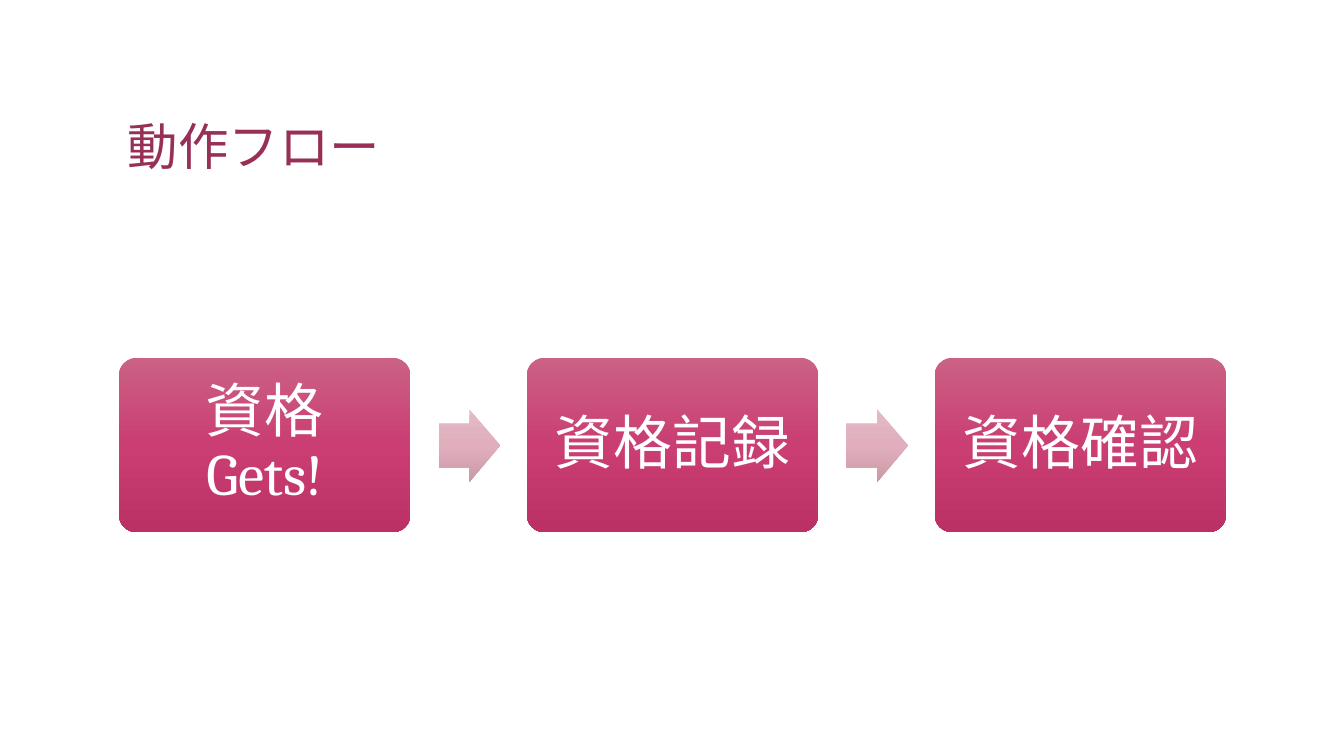
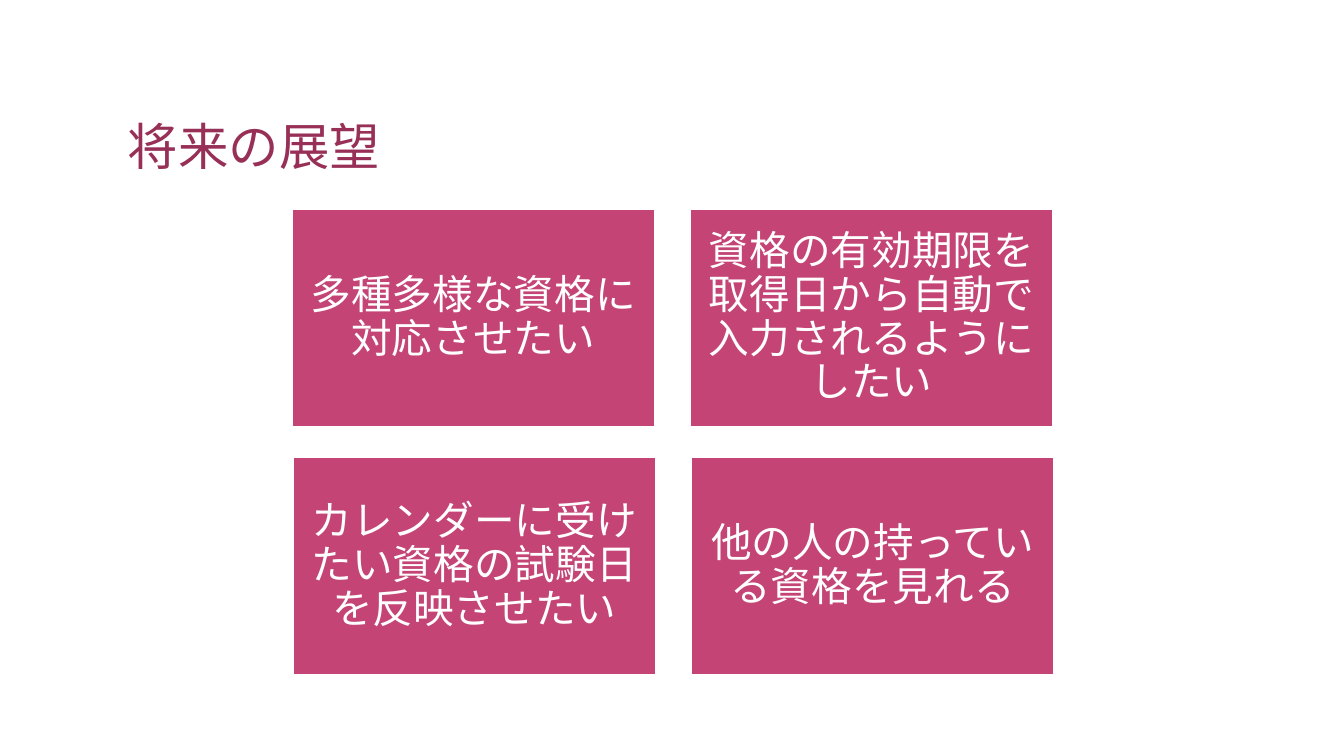
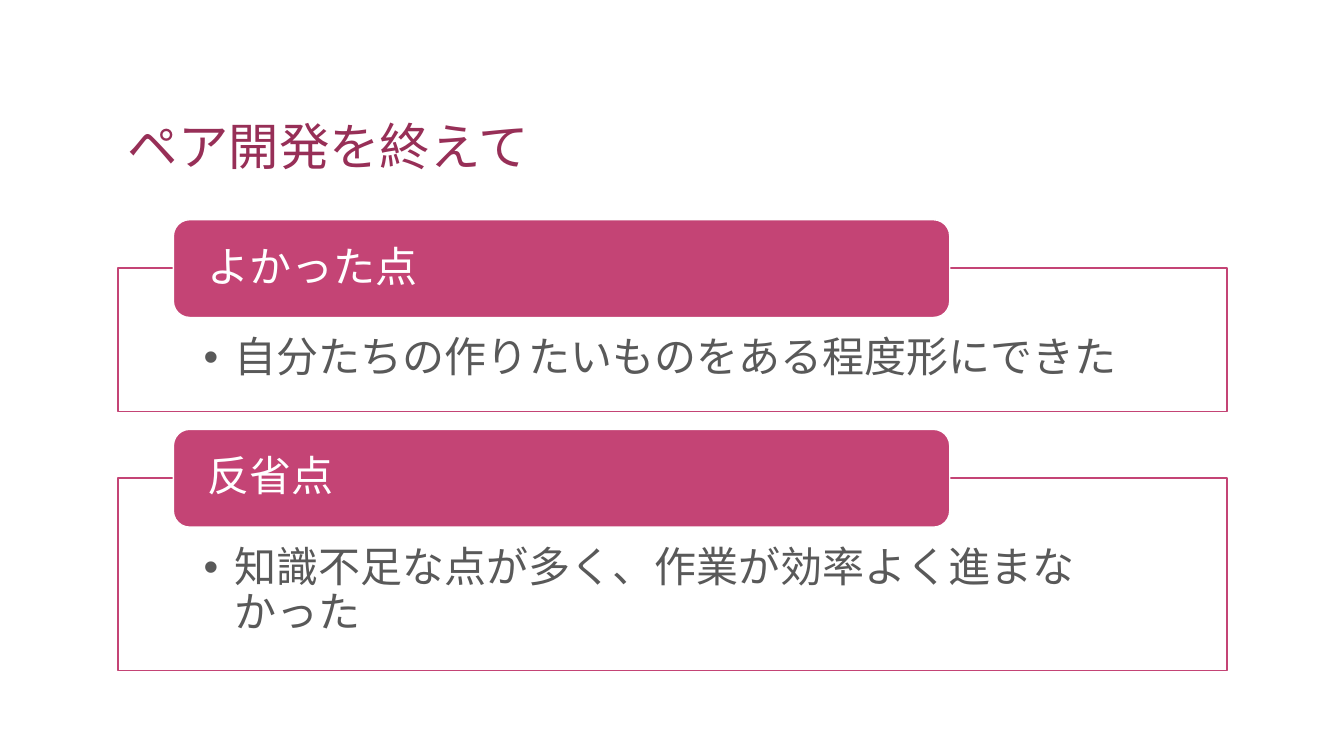
"""Build three slides on a certificate app: its flow, its outlook and a review."""
from lxml import etree
from pptx import Presentation
from pptx import util as u
from pptx.dml.color import RGBColor
from pptx.enum import shapes, text
from pptx.oxml.ns import qn

COLORS = {
    "title": "972F57",
    "accent": "C44475",
    "white": "FFFFFF",
    "body": "595959",
}
STEP_GRADIENT = ["CB6185", "CA3E73", "BB3065"]
ARROW_GRADIENT = ["E3BBC6", "E0AEBC", "CB98A5"]
LATIN_FONT = "Cambria"
JAPANESE_FONT = "Noto Sans CJK JP"
CENTER = text.PP_ALIGN.CENTER
LEFT = text.PP_ALIGN.LEFT
MIDDLE = text.MSO_ANCHOR.MIDDLE
TOP = text.MSO_ANCHOR.TOP
BOTTOM = text.MSO_ANCHOR.BOTTOM


def rgb(name):
    """Return a named colour."""
    return RGBColor.from_string(COLORS[name])


def write(shape, words, size, color, insets, anchor=MIDDLE, align=LEFT,
          latin=LATIN_FONT, bullet_indent=0):
    """Write one formatted paragraph into a shape."""
    frame = shape.text_frame
    frame.word_wrap = True
    frame.vertical_anchor = anchor
    frame.margin_left, frame.margin_top, frame.margin_right, frame.margin_bottom = [
        u.Inches(inset) for inset in insets]
    para = frame.paragraphs[0]
    para.text = words
    para.alignment = align
    para.line_spacing = 0.9
    if bullet_indent:
        properties = para._p.get_or_add_pPr()
        properties.set("marL", str(u.Inches(bullet_indent)))
        properties.set("indent", str(-u.Inches(bullet_indent)))
        etree.SubElement(properties, qn("a:buFont"), typeface="Arial")
        etree.SubElement(properties, qn("a:buChar"), char="•")
    for span in para.runs:
        span.font.size = u.Pt(size)
        span.font.color.rgb = rgb(color)
        span.font.name = latin
        east_asian = etree.Element(qn("a:ea"), typeface=JAPANESE_FONT)
        span.font._element.find(qn("a:latin")).addnext(east_asian)


def add_block(page, kind, left, top, width, height, fill=None, line=None):
    """Add a shape without shadow, with an optional fill and outline."""
    shape = page.shapes.add_shape(
        kind, u.Inches(left), u.Inches(top), u.Inches(width), u.Inches(height))
    shape.shadow.inherit = False
    if fill:
        shape.fill.solid()
        shape.fill.fore_color.rgb = rgb(fill)
    if line:
        shape.line.color.rgb = rgb(line)
        shape.line.width = u.Pt(1)
    else:
        shape.line.fill.background()
    return shape


def set_gradient(shape, stops):
    """Fill a shape with an evenly spaced gradient from top to bottom."""
    shape.fill.gradient()
    gradient = shape._element.spPr.find(qn("a:gradFill"))
    for child in list(gradient):
        gradient.remove(child)
    stop_list = etree.SubElement(gradient, qn("a:gsLst"))
    for index, color in enumerate(stops):
        position = index * 100000 // (len(stops) - 1)
        stop = etree.SubElement(stop_list, qn("a:gs"), pos=str(position))
        etree.SubElement(stop, qn("a:srgbClr"), val=color)
    etree.SubElement(gradient, qn("a:lin"), ang="5400000", scaled="0")


def add_page(deck, title):
    """Add a blank page with the shared title."""
    page = deck.slides.add_slide(deck.slide_layouts[6])
    box = page.shapes.add_textbox(
        u.Inches(1.17), u.Inches(0.5), u.Inches(11), u.Inches(1.3))
    write(box, title, 36, "title", (0.1, 0.05, 0.1, 0.05), BOTTOM, latin=JAPANESE_FONT)
    return page


def add_flow(page, steps):
    """Add a row of steps joined by block arrows."""
    for index, words in enumerate(steps):
        left = 1.18 + index * 4.045
        step = add_block(page, shapes.MSO_SHAPE.ROUNDED_RECTANGLE, left, 3.55, 2.89, 1.73)
        step.adjustments[0] = 0.1
        set_gradient(step, STEP_GRADIENT)
        write(step, words, 42, "white", [0.17] * 4, align=CENTER)
        if index < len(steps) - 1:
            arrow = add_block(page, shapes.MSO_SHAPE.RIGHT_ARROW,
                              left + 3.17, 4.06, 0.61, 0.72)
            arrow.adjustments[0] = 0.6
            set_gradient(arrow, ARROW_GRADIENT)


def add_grid(page, rows):
    """Add rows of equal filled cards."""
    for row, cards in enumerate(rows):
        for column, words in enumerate(cards):
            card = add_block(page, shapes.MSO_SHAPE.RECTANGLE,
                             2.9 + 0.01 * row + 3.95 * column, 2.08 + 2.46 * row,
                             3.59, 2.15, "accent", "white")
            write(card, words, 29, "white", [0.12] * 4, align=CENTER)


def add_section(page, top, height, heading, point):
    """Add an outlined panel with a heading tab on its top edge."""
    panel = add_block(page, shapes.MSO_SHAPE.RECTANGLE, 1.17, top, 11, height,
                      "white", "accent")
    write(panel, point, 30, "body", (0.85, 0.68, 0.85, 0.23), TOP, bullet_indent=0.31)
    tab = add_block(page, shapes.MSO_SHAPE.ROUNDED_RECTANGLE, 1.72, top - 0.48, 7.7, 0.97,
                    "accent", "white")
    write(tab, heading, 30, "white", (0.29, 0, 0.29, 0))


def main():
    """Build and save the deck."""
    deck = Presentation()
    deck.slide_width = u.Inches(13.33)
    deck.slide_height = u.Inches(7.5)

    add_flow(add_page(deck, "動作フロー"), ["資格\vGets!", "資格記録", "資格確認"])

    add_grid(add_page(deck, "将来の展望"), [
        ["多種多様な資格に対応させたい",
         "資格の有効期限を取得日から自動で入力されるようにしたい"],
        ["カレンダーに受けたい資格の試験日を反映させたい",
         "他の人の持っている資格を見れる"],
    ])

    review = add_page(deck, "ペア開発を終えて")
    add_section(review, 2.66, 1.42, "よかった点",
                "自分たちの作りたいものをある程度形にできた")
    add_section(review, 4.74, 1.91, "反省点",
                "知識不足な点が多く、作業が効率よく進まなかった")

    deck.save("out.pptx")


if __name__ == "__main__":
    main()
